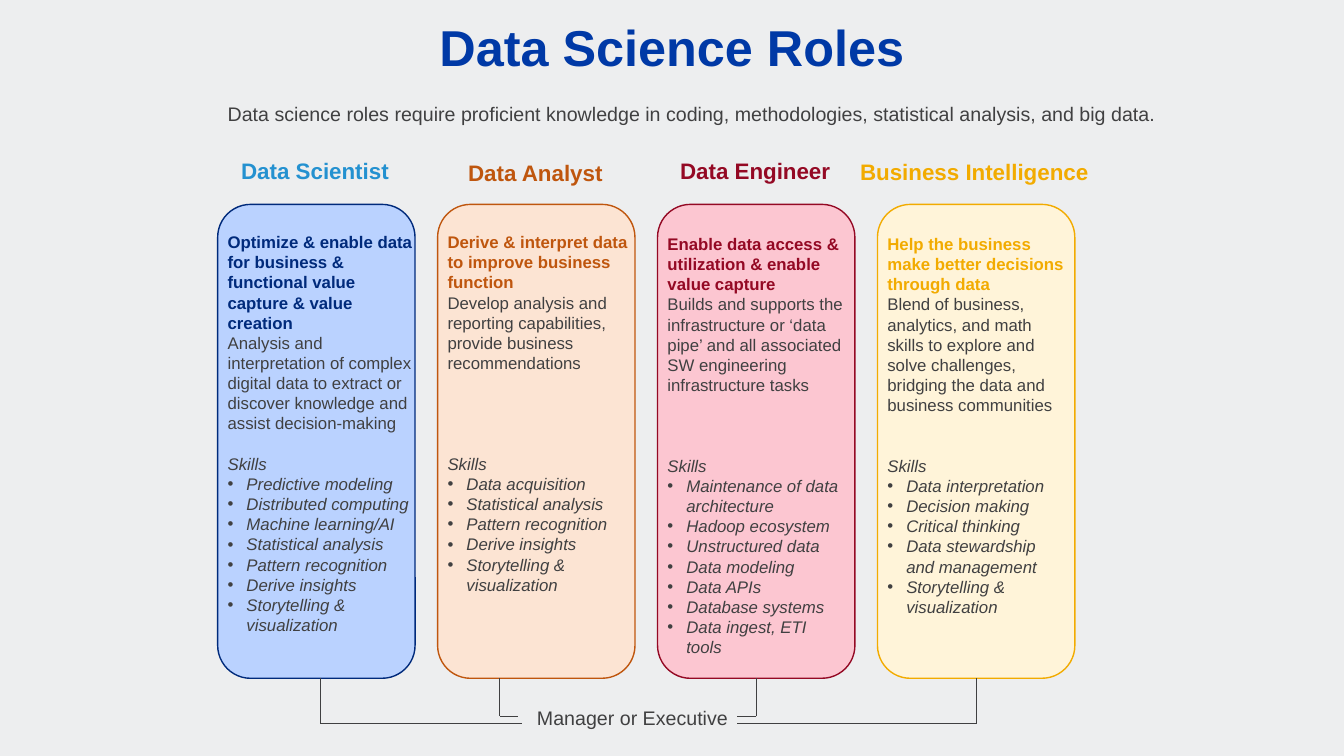
from dataclasses import dataclass

from lxml import etree
from pptx import Presentation
from pptx.dml.color import RGBColor
from pptx.enum import shapes, text
from pptx.oxml import ns
from pptx.util import Pt


@dataclass(frozen=True)
class Theme:
    font: str = "Arial"
    back: str = "EDEEEF"
    ink: str = "404041"
    title: str = "0039A6"
    big: int = 36
    head: int = 16
    note: int = 14
    body: int = 12
    line: float = 14.4


@dataclass(frozen=True)
class Role:
    name: str
    color: str
    edge: str
    fill: str
    goal: str
    task: str
    gap: int  # free lines above the skills
    skills: tuple
    head: tuple  # top and width of the heading
    body: tuple  # top and width of the card text


THEME = Theme()
LEFT, STEP, TOP, WIDE, HIGH = 155.5, 157.1, 146, 141, 338.5

ROLES = [
    Role("Data Scientist", "2491D0", "002A7B", "BAD2FF",
         "Optimize & enable data for business & functional value capture & value creation",
         "Analysis and interpretation of complex digital data to extract or "
         "discover knowledge and assist decision-making",
         1,
         ("Predictive modeling", "Distributed computing", "Machine learning/AI",
          "Statistical analysis", "Pattern recognition", "Derive insights",
          "Storytelling & visualization"),
         (109, 121.7), (162, 148.3)),
    Role("Data Analyst", "BF560E", "BF560E", "FCE4D3",
         "Derive & interpret data to improve business function",
         "Develop analysis and reporting capabilities, provide business recommendations",
         4,
         ("Data acquisition", "Statistical analysis", "Pattern recognition",
          "Derive insights", "Storytelling & visualization"),
         (110, 111.6), (162, 148.3)),
    Role("Data Engineer", "940924", "940924", "FCC6D1",
         "Enable data access & utilization & enable value capture",
         "Builds and supports the infrastructure or ‘data pipe’ and all "
         "associated SW engineering infrastructure tasks",
         3,
         ("Maintenance of data architecture", "Hadoop ecosystem",
          "Unstructured data", "Data modeling", "Data APIs",
          "Database systems", "Data ingest, ETI tools"),
         (109, 123.1), (163.4, 141.8)),
    Role("Business Intelligence", "F2AB00", "F2AB00", "FFF4D9",
         "Help the business make better decisions through data",
         "Blend of business, analytics, and math skills to explore and solve "
         "challenges, bridging the data and business communities",
         2,
         ("Data interpretation", "Decision making", "Critical thinking",
          "Data stewardship and management", "Storytelling & visualization"),
         (109.5, 180), (163.4, 141.8)),
]


def rgb(code):
    return RGBColor.from_string(code)


def add_run(para, words, size, color=THEME.ink, bold=False, slant=False):
    run = para.add_run()
    run.text = words
    font = run.font
    font.name, font.size = THEME.font, Pt(size)
    font.bold, font.italic = bold, slant
    font.color.rgb = rgb(color)


def add_box(slide, left, top, wide, high, wrap=False):
    """Add an empty text box and return its text frame."""
    box = slide.shapes.add_textbox(Pt(left), Pt(top), Pt(wide), Pt(high))
    frame = box.text_frame
    frame.word_wrap = wrap
    frame.auto_size = text.MSO_AUTO_SIZE.SHAPE_TO_FIT_TEXT
    return frame


def add_label(slide, words, left, top, wide, size, **style):
    frame = add_box(slide, left, top, wide, size * 1.2 + 7.4)
    add_run(frame.paragraphs[0], words, size, **style)


def add_bullet(para):
    props = para._p.get_or_add_pPr()
    props.set("marL", str(Pt(13.5)))
    props.set("indent", str(-Pt(13.5)))
    face = etree.SubElement(props, ns.qn("a:buFont"))
    face.set("typeface", THEME.font)
    etree.SubElement(props, ns.qn("a:buChar")).set("char", "•")


def add_card(slide, role, left):
    card = slide.shapes.add_shape(
        shapes.MSO_SHAPE.ROUNDED_RECTANGLE, Pt(left), Pt(TOP), Pt(WIDE), Pt(HIGH))
    card.shadow.inherit = False
    card.fill.solid()
    card.fill.fore_color.rgb = rgb(role.fill)
    card.line.color.rgb = rgb(role.edge)
    card.line.width = Pt(1)
    return card


def add_role(slide, role, left):
    """Write the heading above a card and the text on it."""
    top, wide = role.head
    add_label(slide, role.name, left + (WIDE - wide) / 2, top, wide,
              THEME.head, color=role.color, bold=True)
    top, wide = role.body
    frame = add_box(slide, left, top, wide, 320, wrap=True)
    goal = frame.paragraphs[0]
    tint = role.edge
    add_run(goal, role.goal, THEME.body, tint, bold=True)
    add_run(frame.add_paragraph(), role.task, THEME.body)
    skills = frame.add_paragraph()
    skills.space_before = Pt(role.gap * THEME.line)
    add_run(skills, "Skills", THEME.body, slant=True)
    for skill in role.skills:
        para = frame.add_paragraph()
        add_bullet(para)
        add_run(para, skill, THEME.body, slant=True)
    for para in frame.paragraphs:
        para.line_spacing = Pt(THEME.line)


def add_line(slide, x1, y1, x2, y2):
    line = slide.shapes.add_connector(
        shapes.MSO_CONNECTOR.STRAIGHT, Pt(x1), Pt(y1), Pt(x2), Pt(y2))
    line.line.color.rgb = rgb(THEME.ink)
    line.line.width = Pt(0.5)
    etree.SubElement(line._element.spPr, ns.qn("a:effectLst"))
    return line


def add_link(slide, card, x, y, end):
    """Lead from a card's foot down to y, then across to end.

    Without x the line starts at the middle of the foot and is joined there.
    """
    mid = x or (card.left + card.width / 2) / Pt(1)
    drop = add_line(slide, mid, TOP + HIGH, mid, y)
    if x is None:
        drop.begin_connect(card, 2)
    add_line(slide, mid, y, end, y)


def set_title(slide, words):
    title = slide.shapes.title
    title.left, title.top = Pt(30), Pt(16)
    title.width, title.height = Pt(900), Pt(39.6)
    frame = title.text_frame
    frame.margin_left = frame.margin_right = 0
    frame.margin_top = frame.margin_bottom = 0
    frame.vertical_anchor = text.MSO_ANCHOR.BOTTOM
    frame.auto_size = text.MSO_AUTO_SIZE.NONE
    para = frame.paragraphs[0]
    para.alignment = text.PP_ALIGN.CENTER
    para.line_spacing = 0.9
    add_run(para, words, THEME.big, THEME.title, bold=True)


def main():
    deck = Presentation()
    deck.slide_width, deck.slide_height = Pt(960), Pt(540)
    slide = deck.slides.add_slide(deck.slide_layouts[5])
    slide.background.fill.solid()
    slide.background.fill.fore_color.rgb = rgb(THEME.back)

    set_title(slide, "Data Science Roles")
    add_label(slide, "Data science roles require proficient knowledge in coding, "
              "methodologies, statistical analysis, and big data.",
              155.5, 69, 680.4, THEME.note)
    cards = []
    for i, role in enumerate(ROLES):
        left = LEFT + i * STEP
        cards.append(add_card(slide, role, left))
        add_role(slide, role, left)

    links = [(229, 517, 373), (357, 511.5, 370),
             (None, 511.5, 526.5), (None, 517, 526.5)]
    for card, link in zip(cards, links):
        add_link(slide, card, *link)
    add_label(slide, "Manager or Executive", 376.5, 501, 152, THEME.note)
    deck.save("out.pptx")


if __name__ == "__main__":
    main()
